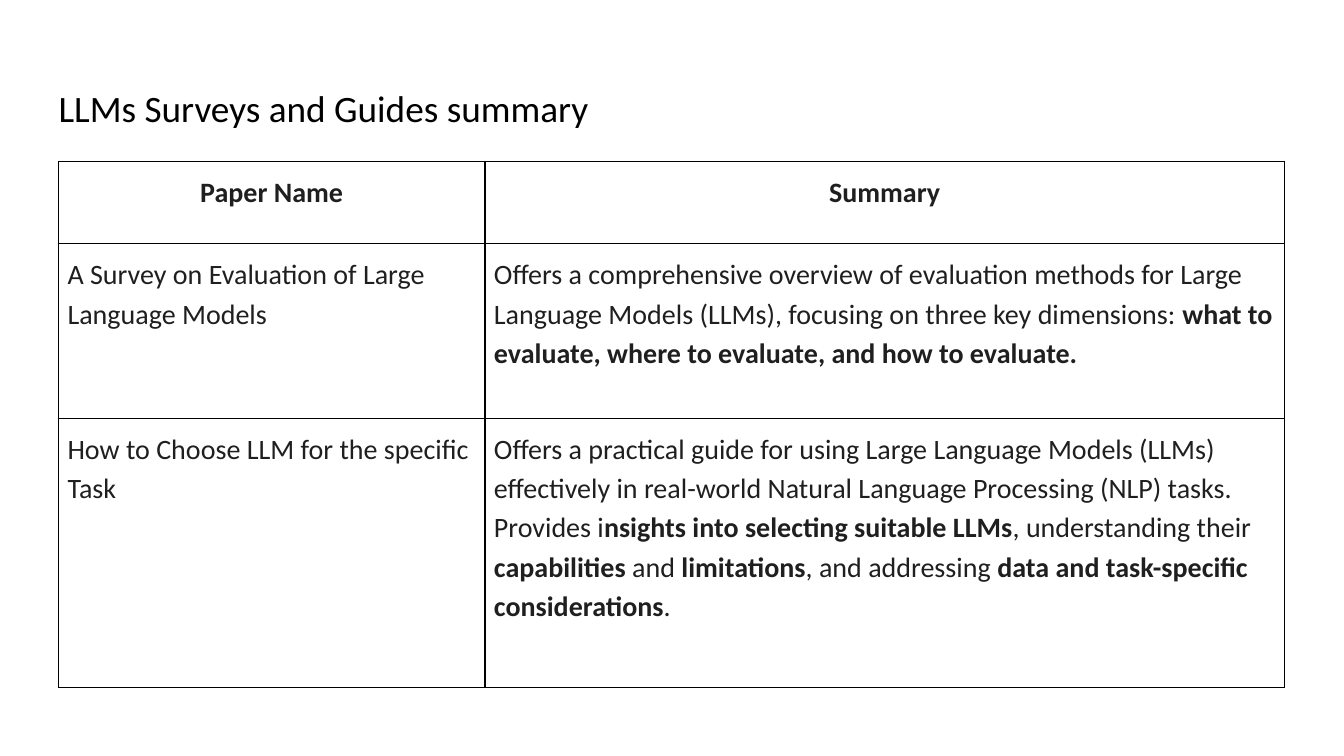
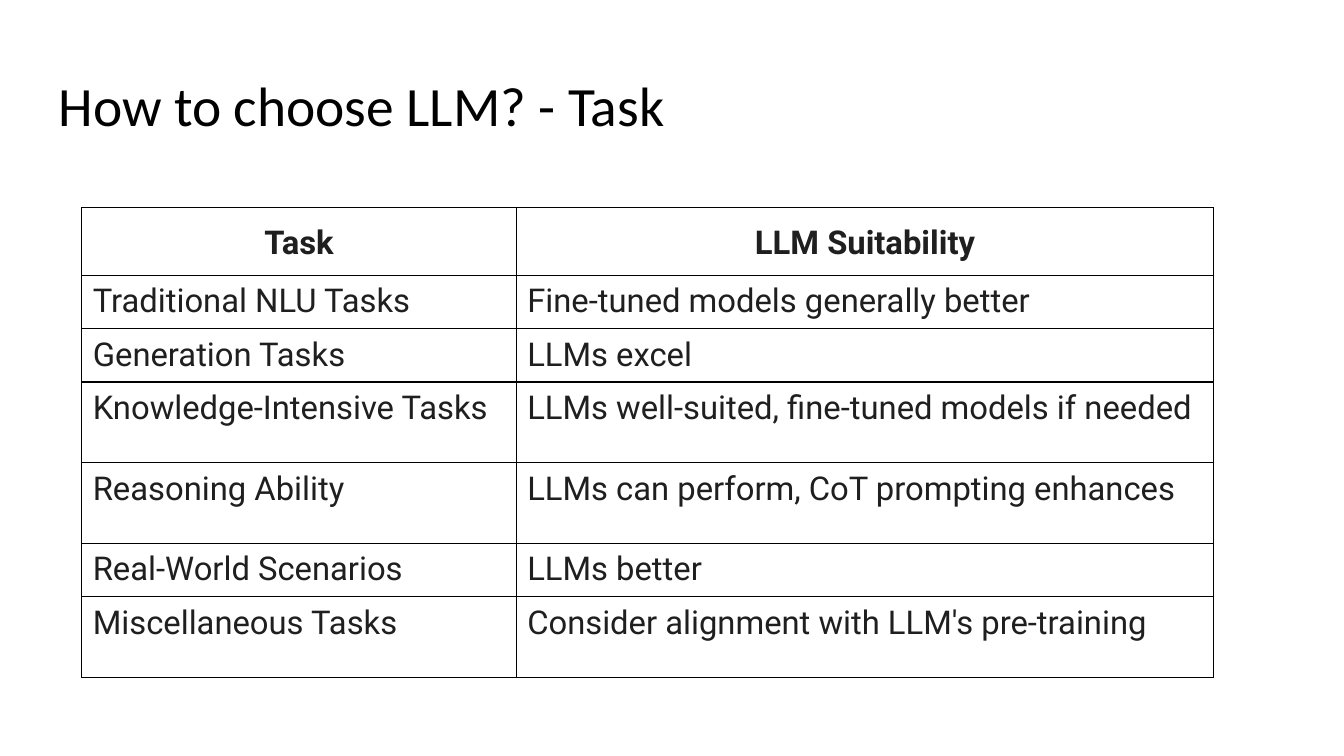
"""Build two slides that summarise language model surveys and task suitability."""
from dataclasses import dataclass

from lxml import etree
from pptx import Presentation
from pptx.dml.color import RGBColor
from pptx.enum.text import MSO_ANCHOR, MSO_AUTO_SIZE, PP_ALIGN
from pptx.oxml.ns import qn
from pptx.presentation import Presentation as Deck
from pptx.slide import Slide
from pptx.table import _Cell
from pptx.text.text import TextFrame
from pptx.util import Inches, Pt

LEFT, CENTER = PP_ALIGN.LEFT, PP_ALIGN.CENTER
TOP, NO_AUTO_SIZE = MSO_ANCHOR.TOP, MSO_AUTO_SIZE.NONE
SLIDE_WIDTH, SLIDE_HEIGHT = Inches(13.33), Inches(7.5)
TITLE_ONLY_LAYOUT = 5
BOLD_MARK = "**"


@dataclass(frozen=True)
class Theme:
    """Colours, fonts and sizes used across the slides."""
    background: str = "FFFFFF"
    title_color: str = "000000"
    text_color: str = "1F1F1F"
    border_color: str = "000000"
    border_width: float = 1
    title_font: str = "Calibri"
    task_font: str = "Roboto"
    survey_title_size: float = 26.6
    task_title_size: float = 39.6
    survey_size: float = 20
    task_size: float = 23.4
    loose: float = 1.15
    tight: float = 0.9


THEME = Theme()


@dataclass(frozen=True)
class TableDesign:
    """Table geometry in percent of the slide, with its text format."""
    left: float
    top: float
    columns: tuple[float, ...]
    rows: tuple[float, ...]
    font: str
    size: float
    body_spacing: float
    inset: float
    body_inset: float


@dataclass(frozen=True)
class TableSlide:
    """One slide: a title above a table whose first row is the header."""
    title: str
    title_size: float
    title_spacing: float
    design: TableDesign
    cells: tuple[tuple[str, ...], ...]


SHORT_ROW, TALL_ROW = 7.07, 10.67
SLIDES = (
    TableSlide(
        "LLMs Surveys and Guides summary", THEME.survey_title_size, THEME.loose,
        TableDesign(4.35, 21.33, (31.73, 59.49), (10.93, 23.07, 35.6),
                    THEME.title_font, THEME.survey_size, THEME.loose, 0.09, 0.09),
        (
            ("Paper Name", "Summary"),
            ("A Survey on Evaluation of Large Language Models",
             "Offers a comprehensive overview of evaluation methods for Large Language "
             "Models (LLMs), focusing on three key dimensions: "
             "**what to evaluate, where to evaluate, and how to evaluate.**"),
            ("How to Choose LLM for the specific Task",
             "Offers a practical guide for using Large Language Models (LLMs) effectively "
             "in real-world Natural Language Processing (NLP) tasks. Provides "
             "i**nsights into selecting suitable LLMs**, understanding their "
             "**capabilities **and **limitations**, and addressing "
             "**data and task-specific considerations**."),
        ),
    ),
    TableSlide(
        "How to choose LLM? - Task", THEME.task_title_size, THEME.tight,
        TableDesign(6.08, 27.47, (32.33, 51.91),
                    (8.93, SHORT_ROW, SHORT_ROW, TALL_ROW, TALL_ROW, SHORT_ROW, TALL_ROW),
                    THEME.task_font, THEME.task_size, 1.0, 0.11, 0.07),
        (
            ("Task", "LLM Suitability"),
            ("Traditional NLU Tasks", "Fine-tuned models generally better"),
            ("Generation Tasks", "LLMs excel"),
            ("Knowledge-Intensive Tasks", "LLMs well-suited, fine-tuned models if needed"),
            ("Reasoning Ability", "LLMs can perform, CoT prompting enhances"),
            ("Real-World Scenarios", "LLMs better"),
            ("Miscellaneous Tasks", "Consider alignment with LLM's pre-training"),
        ),
    ),
)


def across(percent: float) -> int:
    """Return a share of the slide width."""
    return round(SLIDE_WIDTH * percent / 100)


def down(percent: float) -> int:
    """Return a share of the slide height."""
    return round(SLIDE_HEIGHT * percent / 100)


def write_text(frame: TextFrame, text: str, *, font: str, size: float, color: str,
               spacing: float, alignment: PP_ALIGN = LEFT, bold: bool = False) -> None:
    """Write one paragraph, switching to bold between marks."""
    paragraph = frame.paragraphs[0]
    paragraph.alignment = alignment
    paragraph.line_spacing = spacing
    paragraph.space_before = Pt(0)
    for index, part in enumerate(text.split(BOLD_MARK)):
        if part:
            run = paragraph.add_run()
            run.text = part
            run.font.name = font
            run.font.size = Pt(size)
            run.font.bold = bold or index % 2 == 1
            run.font.color.rgb = RGBColor.from_string(color)


def add_title(slide: Slide, content: TableSlide) -> None:
    """Place and format the title placeholder."""
    title = slide.shapes.title
    title.left, title.top = across(3.38), down(8.67)
    title.width, title.height = across(93.17), down(11.2)
    frame = title.text_frame
    frame.word_wrap = True
    frame.auto_size = NO_AUTO_SIZE
    frame.vertical_anchor = TOP
    frame.margin_left = frame.margin_right = Inches(0.13)
    frame.margin_top = frame.margin_bottom = Inches(0.13)
    write_text(frame, content.title, font=THEME.title_font, size=content.title_size,
               color=THEME.title_color, spacing=content.title_spacing)


def draw_borders(cell: _Cell) -> None:
    """Give a cell a solid line on all four sides."""
    properties = cell._tc.get_or_add_tcPr()
    for side in ("a:lnL", "a:lnR", "a:lnT", "a:lnB"):
        line = etree.SubElement(properties, qn(side), w=str(Pt(THEME.border_width)))
        fill = etree.SubElement(line, qn("a:solidFill"))
        etree.SubElement(fill, qn("a:srgbClr"), val=THEME.border_color)


def format_cell(cell: _Cell, text: str, design: TableDesign, is_header: bool) -> None:
    """Fill, frame and write one table cell."""
    draw_borders(cell)
    cell.fill.solid()
    cell.fill.fore_color.rgb = RGBColor.from_string(THEME.background)
    cell.vertical_anchor = TOP
    cell.margin_left = cell.margin_right = Inches(design.inset)
    cell.margin_top = cell.margin_bottom = Inches(
        design.inset if is_header else design.body_inset)
    write_text(cell.text_frame, text, font=design.font, size=design.size,
               color=THEME.text_color, bold=is_header,
               spacing=THEME.loose if is_header else design.body_spacing,
               alignment=CENTER if is_header else LEFT)


def add_summary_table(slide: Slide, content: TableSlide) -> None:
    """Add the table described by a slide's content."""
    design = content.design
    table = slide.shapes.add_table(
        len(design.rows), len(design.columns), across(design.left), down(design.top),
        across(sum(design.columns)), down(sum(design.rows))).table
    table.first_row = table.horz_banding = False
    for column, width in zip(table.columns, design.columns):
        column.width = across(width)
    for row_index, (row, height) in enumerate(zip(table.rows, design.rows)):
        row.height = down(height)
        for cell, text in zip(row.cells, content.cells[row_index]):
            format_cell(cell, text, design, is_header=row_index == 0)


def add_table_slide(presentation: Deck, content: TableSlide) -> None:
    """Add one slide with its title and table."""
    slide = presentation.slides.add_slide(presentation.slide_layouts[TITLE_ONLY_LAYOUT])
    add_title(slide, content)
    add_summary_table(slide, content)


def main() -> None:
    """Build and save the presentation."""
    presentation = Presentation()
    presentation.slide_width, presentation.slide_height = SLIDE_WIDTH, SLIDE_HEIGHT
    for content in SLIDES:
        add_table_slide(presentation, content)
    presentation.save("out.pptx")


if __name__ == "__main__":
    main()
